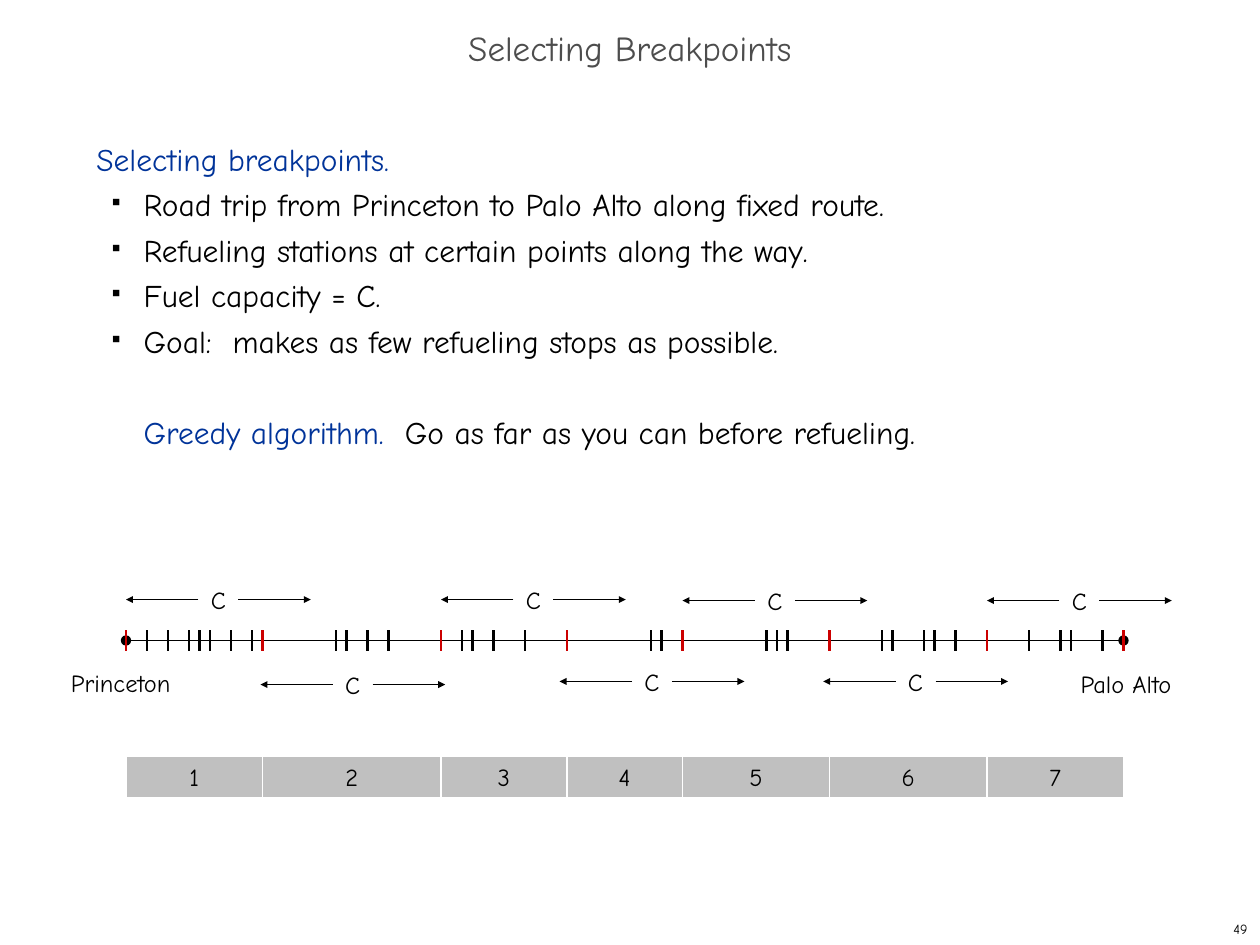
from dataclasses import dataclass
from itertools import pairwise

from lxml.etree import SubElement
from pptx import Presentation
from pptx.dml.color import RGBColor as RGB
from pptx.enum.shapes import MSO_CONNECTOR as CONN, MSO_SHAPE as SHAPE
from pptx.enum.text import MSO_ANCHOR as ANCHOR, PP_ALIGN as ALIGN
from pptx.oxml.ns import qn
from pptx.util import Pt

SCALE = 7620  # EMU per px, 120 px to the inch
UNIT = 10     # px per step of the road


@dataclass(frozen=True)
class Theme:
    font: str = "Comic Neue"
    title: int = 20
    body: int = 18
    label: int = 14
    number: int = 8
    leading: int = 26
    ink: str = "000000"
    heading: str = "4D4D4D"
    accent: str = "003399"
    stop: str = "CC0000"
    leg: str = "C0C0C0"
    paper: str = "FFFFFF"
    thin: float = 0.75
    thick: float = 1.25


T = Theme()

BULLETS = [
    "Road trip from Princeton to Palo Alto along fixed route.",
    "Refueling stations at certain points along the way.",
    "Fuel capacity = C.",
    "Goal:  makes as few refueling stops as possible.",
]
STOPS = [0, 13, 30, 42, 53, 67, 82, 95]
STATIONS = [2, 4, 6, 7, 8, 10, 12, 20, 21, 23, 25, 32, 33, 35, 38, 50, 51,
            61, 62, 63, 72, 73, 76, 77, 79, 86, 89, 90, 93]
# left and middle of each full-tank range, relative to the start of the road
RANGES = [(0, -39), (128, 42), (300, -39), (413, 39), (530, -38), (664, 39), (820, -38)]


def px(*values):
    return [round(v * SCALE) for v in values]


def set_all(obj, values):
    for name, value in values.items():
        setattr(obj, name, value)


def add_run(p, text, size, color):
    r = p.add_run()
    r.text = text
    set_all(r.font, {"name": T.font, "size": Pt(size)})
    r.font.color.rgb = RGB.from_string(color)


def add_text(s, box, text, size, color=T.ink, align=ALIGN.CENTER, wrap=False):
    sp = s.shapes.add_textbox(*px(*box))
    set_all(sp.text_frame, {"word_wrap": wrap, "vertical_anchor": ANCHOR.MIDDLE})
    p = sp.text_frame.paragraphs[0]
    p.alignment = align
    add_run(p, text, size, color)
    return sp


def add_line(s, start, end, color=T.ink, width=T.thin, **ends):
    """Draw a line; ends maps headEnd or tailEnd to (type, size)."""
    line = s.shapes.add_connector(CONN.STRAIGHT, *px(*start, *end))
    line.line.color.rgb = RGB.from_string(color)
    line.line.width = Pt(width)
    ln = line.line._get_or_add_ln()
    for tag, (kind, size) in ends.items():
        SubElement(ln, qn(f"a:{tag}"), type=kind, w=size, len=size)
    SubElement(line._element.spPr, qn("a:effectLst"))
    return line


def add_bullet(p):
    pPr = p._p.get_or_add_pPr()
    left, hang = px(45, -30)
    set_all_xml = {"marL": left, "indent": hang}
    for name, value in set_all_xml.items():
        pPr.set(name, str(value))
    SubElement(SubElement(pPr, qn("a:buClr")), qn("a:srgbClr"), val=T.ink)
    SubElement(pPr, qn("a:buSzPct"), val="35000")
    SubElement(pPr, qn("a:buChar"), char="■")


def title(s, box, text):
    sp = add_text(s, box, text, T.title, T.heading, wrap=True)
    sp.text_frame.paragraphs[0].line_spacing = 0.7


def body(s, box):
    tf = s.shapes.add_textbox(*px(*box)).text_frame
    tf.word_wrap = True
    p = tf.paragraphs[0]
    p.line_spacing = Pt(T.leading)
    add_run(p, "Selecting breakpoints.", T.body, T.accent)
    for text in BULLETS:
        p = tf.add_paragraph()
        add_bullet(p)
        p.line_spacing = Pt(T.leading)
        add_run(p, text, T.body, T.ink)
    p = tf.add_paragraph()
    p._p.get_or_add_pPr().set("marL", str(px(45)[0]))
    set_all(p, {"line_spacing": Pt(T.leading), "space_before": Pt(T.leading)})
    add_run(p, "Greedy algorithm.  ", T.body, T.accent)
    add_run(p, "Go as far as you can before refueling.", T.body, T.ink)


def tank_range(s, box):
    """Draw a C with an arrow to each end of the box."""
    x, y, w, h = box
    label_w, mid = 38, y + h / 2
    arm = (w - label_w) / 2
    label = add_text(s, (x + arm, y, label_w, h), "C", T.label)
    for site, start, end in ((1, x + arm, x), (3, x + arm + label_w, x + w)):
        line = add_line(s, (start, mid), (end, mid), tailEnd=("triangle", "sm"))
        line.begin_connect(label, site)


def road(s, box):
    """Draw the road along the middle of the box, with its stations and ranges."""
    x, y, w, h = box
    mid = y + h / 2
    oval = ("oval", "med")
    add_line(s, (x, mid), (x + w, mid), headEnd=oval, tailEnd=oval)
    add_text(s, (x - 65, y + 30, 120, 40), "Princeton", T.label)
    add_text(s, (x + w - 54, y + 31, 113, 40), "Palo Alto", T.label)
    for left, offset in RANGES:
        tank_range(s, (x + left, mid + offset - 20, 176, 40))
    for points, color in ((STATIONS, T.ink), (STOPS, T.stop)):
        for point in points:
            at = x + point * UNIT
            add_line(s, (at, y), (at, y + h), color, T.thick)


def legs(s, box):
    """Fill the box with one numbered bar for each stretch between stops."""
    x, y, w, h = box
    for number, (a, b) in enumerate(pairwise(STOPS), 1):
        sp = s.shapes.add_shape(SHAPE.RECTANGLE, *px(x + a * UNIT, y, (b - a) * UNIT, h))
        sp.shadow.inherit = False
        sp.fill.solid()
        sp.fill.fore_color.rgb = RGB.from_string(T.leg)
        sp.line.color.rgb = RGB.from_string(T.paper)
        sp.line.width = Pt(T.thin)
        set_all(sp.text_frame, {"word_wrap": False, "vertical_anchor": ANCHOR.MIDDLE})
        p = sp.text_frame.paragraphs[0]
        p.alignment = ALIGN.CENTER
        add_run(p, str(number), T.label, T.ink)


def main():
    prs = Presentation()
    prs.slide_width, prs.slide_height = px(1200, 900)
    s = prs.slides.add_slide(prs.slide_layouts[6])
    length = STOPS[-1] * UNIT
    title(s, (0, 20, 1200, 60), "Selecting Breakpoints")
    body(s, (80, 120, 1030, 710))
    road(s, (120, 600, length, 20))
    legs(s, (120, 720, length, 40))
    add_text(s, (950, 870, 250, 30), "49", T.number, align=ALIGN.RIGHT, wrap=True)
    prs.save("out.pptx")


if __name__ == "__main__":
    main()
